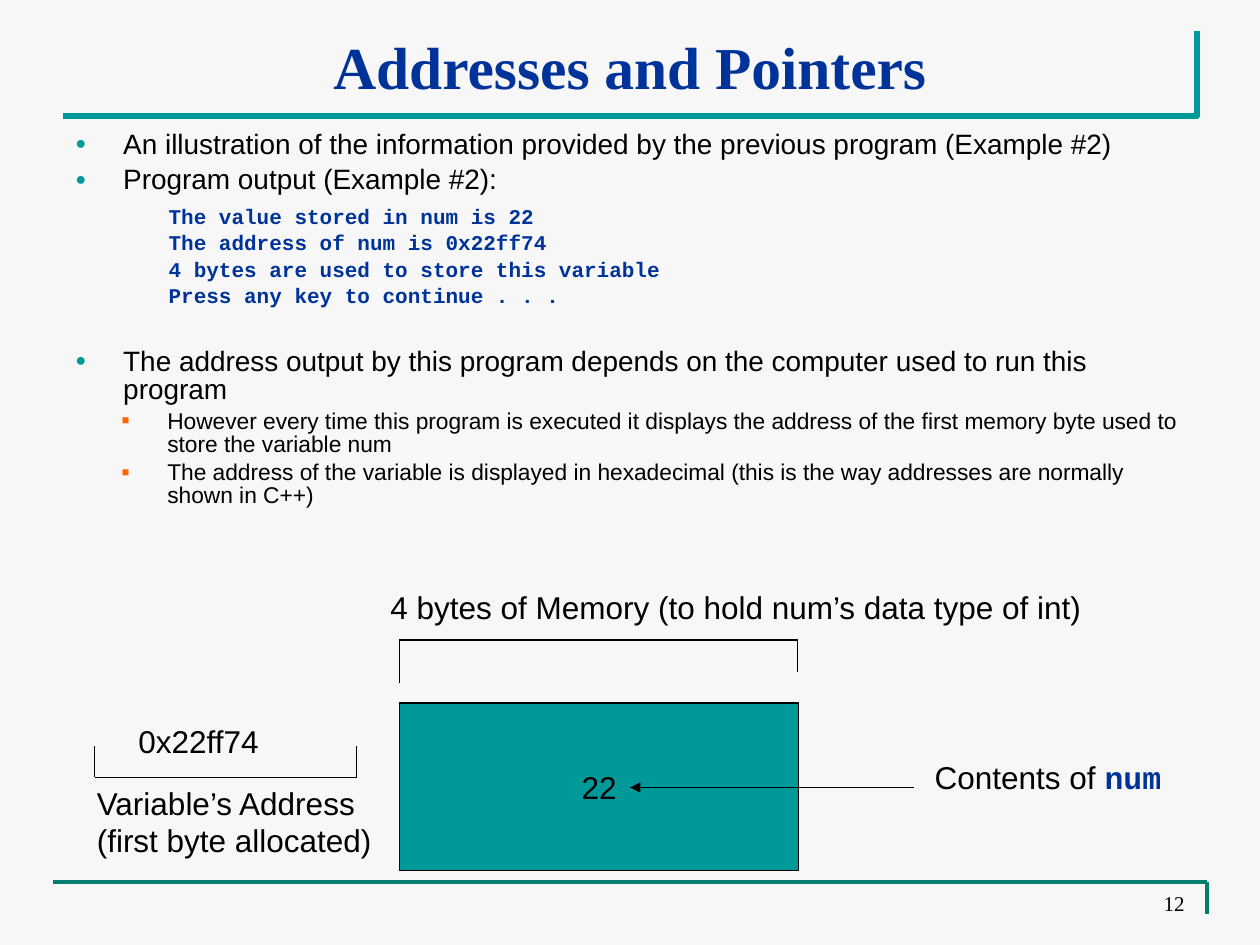
"""Build the slide on addresses and pointers."""
from dataclasses import dataclass
from typing import Optional

from lxml.etree import SubElement
from pptx import Presentation
from pptx.dml.color import RGBColor
from pptx.enum.shapes import MSO_CONNECTOR as Connector, MSO_SHAPE as Shape
from pptx.enum.text import MSO_ANCHOR as Anchor, PP_ALIGN as Align
from pptx.oxml.ns import qn
from pptx.util import Inches, Pt

COLORS = {
    "background": "F7F7F7",
    "teal": "009999",
    "footer": "027E6F",
    "navy": "003399",
    "orange": "FF6600",
    "black": "000000",
}


@dataclass(frozen=True)
class TextStyle:
    size: float
    font: str = "Arial"
    color: str = "black"
    bold: bool = False


@dataclass(frozen=True)
class Bullet:
    character: str
    color: str
    percent: int


@dataclass(frozen=True)
class BodyStyle:
    text: TextStyle
    level: int
    margin: float
    indent: float
    space_before: float
    bullet: Optional[Bullet] = None


@dataclass(frozen=True)
class Label:
    lines: tuple[str, ...]
    box: tuple[float, float, float, float]
    style: TextStyle
    align: Align = Align.LEFT
    anchor: Anchor = Anchor.TOP
    wrap: bool = False


@dataclass(frozen=True)
class Line:
    start: tuple[float, float]
    end: tuple[float, float]
    color: str = "black"
    width: float = 0.75
    arrow: bool = False


TITLE = TextStyle(34, "Times New Roman", "navy", True)
DIAGRAM = TextStyle(18)
CODE = TextStyle(12, "Courier New", "navy", True)
PAGE = TextStyle(12, "Times New Roman")

POINT = BodyStyle(TextStyle(16), 0, 0.38, -0.38, 4, Bullet("●", "teal", 65))
DETAIL = BodyStyle(TextStyle(13), 1, 0.73, -0.36, 3.3, Bullet("■", "orange", 55))
OUTPUT = BodyStyle(CODE, 2, 1.12, -0.38, 3)
LINE_SPACING = 0.84

BODY = [
    (POINT, 0, "An illustration of the information provided by the previous program (Example #2)"),
    (POINT, 0, "Program output (Example #2):"),
    (OUTPUT, 3.6, "The value stored in num is 22"),
    (OUTPUT, 0, "The address of num is 0x22ff74"),
    (OUTPUT, 0, "4 bytes are used to store this variable"),
    (OUTPUT, 0, "Press any key to continue . . ."),
    (POINT, 19.4, "The address output by this program depends on the computer used to run this program"),
    (DETAIL, 0, "However every time this program is executed it displays the address of the "
                "first memory byte used to store the variable num"),
    (DETAIL, 0, "The address of the variable is displayed in hexadecimal (this is the way "
                "addresses are normally shown in C++)"),
]

LABELS = [
    Label(("Addresses and Pointers",), (0.5, 0.17, 9, 0.7), TITLE, Align.CENTER, Anchor.MIDDLE, True),
    Label(("4 bytes of Memory (to hold num’s data type of int)",), (3, 4.62, 5.69, 0.4), DIAGRAM),
    Label(("Variable’s Address", "(first byte allocated)"), (0.67, 6.17, 2.38, 0.7), DIAGRAM),
    Label(("0x22ff74",), (1, 5.68, 1.58, 0.4), DIAGRAM, wrap=True),
    Label(("12",), (7.17, 7.08, 2.33, 0.24), PAGE, Align.RIGHT, Anchor.BOTTOM, True),
]

LINES = [
    Line((0.42, 7), (9.58, 7), "footer", 2.25),
    Line((9.58, 7), (9.58, 7.25), "footer", 2.25),
    Line((3.17, 5.08), (3.17, 5.42)),
    Line((3.17, 5.08), (6.33, 5.08)),
    Line((6.33, 5.08), (6.33, 5.33)),
    Line((0.75, 5.92), (0.75, 6.17)),
    Line((2.83, 5.92), (2.83, 6.17)),
    Line((0.75, 6.17), (2.83, 6.17)),
    Line((7.25, 6.25), (5, 6.25), arrow=True),
]


def rgb(name: str) -> RGBColor:
    """Return the named colour."""
    return RGBColor.from_string(COLORS[name])


def set_font(font, style: TextStyle) -> None:
    """Apply a text style to a font."""
    font.size = Pt(style.size)
    font.name = style.font
    font.bold = style.bold
    font.color.rgb = rgb(style.color)


def fill_text(frame, label: Label) -> None:
    """Write a label into a text frame."""
    frame.word_wrap = label.wrap
    frame.vertical_anchor = label.anchor
    for index, line in enumerate(label.lines):
        paragraph = frame.add_paragraph() if index else frame.paragraphs[0]
        paragraph.text = line
        paragraph.alignment = label.align
        set_font(paragraph.font, label.style)


def add_label(slide, label: Label):
    """Add a text box holding a label and return it."""
    shape = slide.shapes.add_textbox(*map(Inches, label.box))
    fill_text(shape.text_frame, label)
    return shape


def add_line(slide, line: Line) -> None:
    """Add a straight line, with an arrowhead if asked."""
    connector = slide.shapes.add_connector(
        Connector.STRAIGHT, *map(Inches, line.start + line.end))
    connector.line.color.rgb = rgb(line.color)
    connector.line.width = Pt(line.width)
    if line.arrow:
        SubElement(connector.line._get_or_add_ln(), qn("a:tailEnd"), type="triangle")
    SubElement(connector._element.spPr, qn("a:effectLst"))


def set_bullet(properties, bullet: Bullet) -> None:
    """Give paragraph properties a coloured bullet."""
    color = SubElement(properties, qn("a:buClr"))
    SubElement(color, qn("a:srgbClr"), val=COLORS[bullet.color])
    SubElement(properties, qn("a:buSzPct"), val=str(bullet.percent * 1000))
    SubElement(properties, qn("a:buFont"), typeface="Arial")
    SubElement(properties, qn("a:buChar"), char=bullet.character)


def add_body(slide) -> None:
    """Add the bulleted text and the program output."""
    frame = slide.shapes.add_textbox(*map(Inches, (0.5, 1, 9, 3.25))).text_frame
    frame.word_wrap = True
    for index, (style, extra_space, text) in enumerate(BODY):
        paragraph = frame.add_paragraph() if index else frame.paragraphs[0]
        paragraph.text = text
        paragraph.level = style.level
        paragraph.line_spacing = LINE_SPACING
        paragraph.space_before = Pt(style.space_before + extra_space)
        properties = paragraph._p.get_or_add_pPr()
        properties.set("marL", str(Inches(style.margin)))
        properties.set("indent", str(Inches(style.indent)))
        if style.bullet:
            set_bullet(properties, style.bullet)
        set_font(paragraph.font, style.text)


def add_title_rule(slide) -> None:
    """Add the angled rule around the title."""
    builder = slide.shapes.build_freeform(Inches(9.5), Inches(0.25))
    builder.add_line_segments(
        [(Inches(9.5), Inches(0.92)), (Inches(0.5), Inches(0.92))], close=False)
    shape = builder.convert_to_shape()
    shape.shadow.inherit = False
    shape.fill.background()
    shape.line.color.rgb = rgb("teal")
    shape.line.width = Pt(3.5)


def add_memory_box(slide) -> None:
    """Add the memory cell with its value."""
    box = (3.17, 5.58, 3.17, 1.33)
    shape = slide.shapes.add_shape(Shape.RECTANGLE, *map(Inches, box))
    shape.shadow.inherit = False
    shape.fill.solid()
    shape.fill.fore_color.rgb = rgb("teal")
    shape.line.color.rgb = rgb("black")
    shape.line.width = Pt(0.75)
    fill_text(shape.text_frame, Label(("22",), box, DIAGRAM, Align.CENTER, Anchor.MIDDLE))


def add_contents_label(slide) -> None:
    """Add the label that names the variable in code style."""
    shape = add_label(slide, Label(("Contents of ",), (7.32, 5.97, 2, 0.4), DIAGRAM))
    run = shape.text_frame.paragraphs[0].add_run()
    run.text = "num"
    set_font(run.font, TextStyle(18, "Courier New", "navy", True))


def main() -> None:
    """Build and save the presentation."""
    presentation = Presentation()
    presentation.slide_width, presentation.slide_height = Inches(10), Inches(7.5)
    slide = presentation.slides.add_slide(presentation.slide_layouts[6])
    slide.background.fill.solid()
    slide.background.fill.fore_color.rgb = rgb("background")
    add_title_rule(slide)
    add_body(slide)
    add_memory_box(slide)
    for line in LINES:
        add_line(slide, line)
    for label in LABELS:
        add_label(slide, label)
    add_contents_label(slide)
    presentation.save("out.pptx")


if __name__ == "__main__":
    main()
